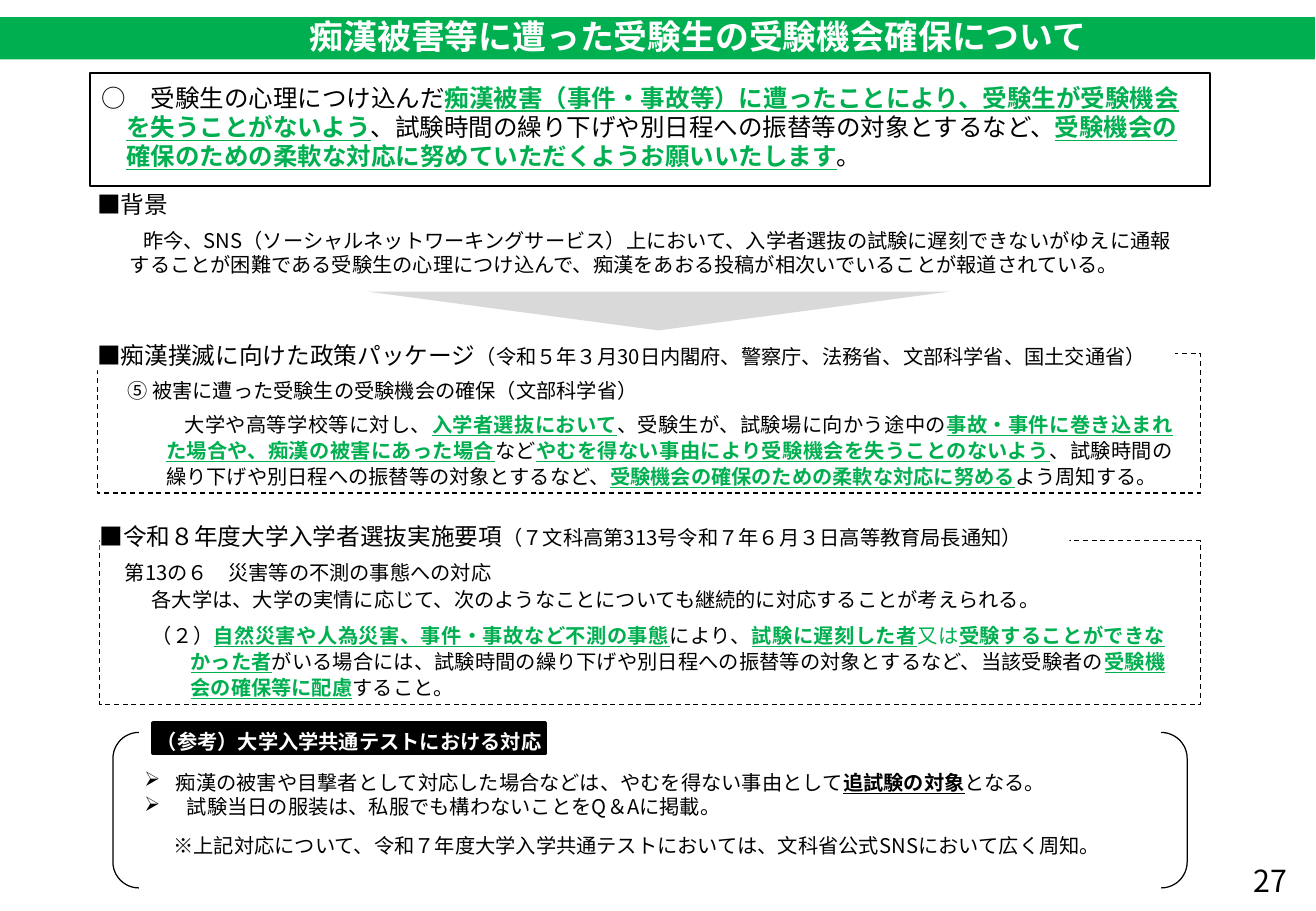
from dataclasses import dataclass
from typing import Optional

from lxml import etree
from pptx import Presentation
from pptx.dml.color import RGBColor
from pptx.enum.dml import MSO_LINE
from pptx.enum.shapes import MSO_SHAPE as Preset
from pptx.enum.text import MSO_ANCHOR as Anchor, MSO_AUTO_SIZE as AutoSize, PP_ALIGN as Align
from pptx.oxml.ns import qn
from pptx.util import Inches, Pt

FONT = "Noto Sans CJK JP"
COLORS = {"green": "00B050", "black": "000000", "white": "FFFFFF", "gray": "D9D9D9"}
# Run style: colour, bold, underline
STYLES = {
    "plain": ("black", False, False),
    "key": ("green", True, True),
    "green": ("green", False, False),
    "strong": ("black", True, True),
    "reverse": ("white", True, False),
}
NO_INSET = (0, 0, 0, 0)


@dataclass
class Run:
    text: str
    style: str = "plain"
    size: float = 12


@dataclass
class Para:
    runs: list[Run]
    margin: float = 0
    indent: float = 0
    align: Align = Align.LEFT
    spacing: Optional[float] = None
    after: float = 0
    bullet: str = ""


@dataclass
class Box:
    at: tuple[float, float, float, float]
    paras: list[Para]
    inset: tuple[float, float, float, float] = (0.1, 0.05, 0.1, 0.05)
    anchor: Anchor = Anchor.TOP
    grow: bool = True


@dataclass
class Panel:
    at: tuple[float, float, float, float]
    preset: Preset = Preset.RECTANGLE
    fill: str = ""
    line: str = ""
    width: float = 0.75
    dashed: bool = False
    rotation: float = 0


def rgb(name: str) -> RGBColor:
    return RGBColor.from_string(COLORS[name])


def add_run(paragraph, item: Run) -> None:
    run = paragraph.add_run()
    run.text = item.text
    color, bold, underline = STYLES[item.style]
    font = run.font
    font.size, font.bold, font.underline, font.name = Pt(item.size), bold, underline, FONT
    font.color.rgb = rgb(color)
    # East Asian typeface
    etree.SubElement(run._r.get_or_add_rPr(), qn("a:ea")).set("typeface", FONT)


def fill_text(shape, box: Box) -> None:
    frame = shape.text_frame
    frame.word_wrap = True
    frame.vertical_anchor = box.anchor
    frame.auto_size = AutoSize.SHAPE_TO_FIT_TEXT if box.grow else AutoSize.NONE
    (frame.margin_left, frame.margin_top,
     frame.margin_right, frame.margin_bottom) = map(Inches, box.inset)
    for index, para in enumerate(box.paras):
        paragraph = frame.add_paragraph() if index else frame.paragraphs[0]
        paragraph.alignment = para.align
        if para.spacing:
            paragraph.line_spacing = Pt(para.spacing)
        paragraph.space_after = Pt(para.after)
        properties = paragraph._p.get_or_add_pPr()
        properties.set("marL", str(Inches(para.margin)))
        properties.set("indent", str(Inches(para.indent)))
        if para.bullet:
            etree.SubElement(properties, qn("a:buChar")).set("char", para.bullet)
        for item in para.runs:
            add_run(paragraph, item)


def add_panel(slide, panel: Panel):
    shape = slide.shapes.add_shape(panel.preset, *map(Inches, panel.at))
    shape.shadow.inherit = False
    shape.rotation = panel.rotation
    if panel.fill:
        shape.fill.solid()
        shape.fill.fore_color.rgb = rgb(panel.fill)
    else:
        shape.fill.background()
    if panel.line:
        shape.line.color.rgb = rgb(panel.line)
        shape.line.width = Pt(panel.width)
        if panel.dashed:
            shape.line.dash_style = MSO_LINE.DASH
    else:
        shape.line.fill.background()
    return shape


def add_text(slide, box: Box) -> None:
    fill_text(slide.shapes.add_textbox(*map(Inches, box.at)), box)


def add_heading(slide, at: tuple[float, float, float, float], title: str, note: str) -> None:
    shape = add_panel(slide, Panel(at, fill="white"))
    fill_text(shape, Box(at, [Para([Run(title, size=14), Run(note)])], NO_INSET))


PANELS = [
    Panel((0.82, 4.45, 9.06, 1.35), line="black", dashed=True),
    Panel((0.8, 2.91, 9.08, 1.15), line="black", dashed=True),
    Panel((0, 0.14, 10.82, 0.35), fill="green"),
    Panel((3.02, 2.4, 4.8, 0.32), Preset.ISOSCELES_TRIANGLE, fill="gray", rotation=180),
    Panel((0.93, 6.03, 8.84, 1.28), Preset.DOUBLE_BRACKET, line="black"),
]

SUMMARY = Box((0.74, 0.6, 9.22, 0.93), [
    Para([Run("○　受験生の心理につけ込んだ", size=14.5),
          Run("痴漢被害（事件・事故等）に遭ったことにより、受験生が受験機会", "key", 14.5)], 0.2, -0.2),
    Para([Run("を失うことがないよう", "key", 14.5),
          Run("、試験時間の繰り下げや別日程への振替等の対象とするなど、", size=14.5),
          Run("受験機会の", "key", 14.5)], 0.2),
    Para([Run("確保のための柔軟な対応に努めていただくようお願いいたします", "key", 14.5),
          Run("。", size=14.5)], 0.2),
], (0.1, 0.08, 0.1, 0.05), grow=False)

REFERENCE = Box((1.26, 5.95, 3.23, 0.25), [
    Para([Run("（参考）大学入学共通テストにおける対応", "reverse")], align=Align.CENTER, spacing=18.1),
], NO_INSET)

TEXTS = [
    # Title
    Box((0.44, 0.02, 10.61, 0.52), [
        Para([Run("痴漢被害等に遭った受験生の受験機会確保について", "reverse", 20)], align=Align.CENTER),
    ], (0, 0.04, 0, 0), Anchor.MIDDLE, grow=False),
    # Background
    Box((0.8, 1.56, 1.94, 0.24), [Para([Run("■背景", size=14)])], NO_INSET),
    Box((0.97, 1.83, 8.92, 0.93), [Para([Run(
        "昨今、SNS（ソーシャルネットワーキングサービス）上において、入学者選抜の試験に遅刻できないがゆえに"
        "通報することが困難である受験生の心理につけ込んで、痴漢をあおる投稿が相次いでいることが報道されている。",
    )], indent=0.11)], grow=False),
    # Policy package
    Box((0.95, 3.01, 4.7, 0.34), [
        Para([Run("⑤ 被害に遭った受験生の受験機会の確保（文部科学省）")], spacing=18.1)]),
    Box((1.09, 3.33, 8.66, 0.73), [Para([
        Run("大学や高等学校等に対し、"),
        Run("入学者選抜において", "key"),
        Run("、受験生が、試験場に向かう途中の"),
        Run("事故・事件に巻き込まれた場合や、痴漢の被害にあった場合", "key"),
        Run("など"),
        Run("やむを得ない事由により受験機会を失うことのないよう", "key"),
        Run("、試験時間の繰り下げや別日程への振替等の対象とするなど、"),
        Run("受験機会の確保のための柔軟な対応に努める", "key"),
        Run("よう周知する。"),
    ], 0.18, 0.15, Align.JUSTIFY, 15.4, 6)]),
    # Admission guidelines
    Box((0.93, 4.51, 4.7, 0.34), [
        Para([Run("第13の６　災害等の不測の事態への対応")], spacing=18.1)]),
    Box((0.98, 4.77, 8.71, 1.03), [
        Para([Run("各大学は、大学の実情に応じて、次のようなことについても継続的に対応することが考えられる。")],
             0.17, 0, Align.JUSTIFY, 15.4, 6),
        Para([
            Run("（２）"),
            Run("自然災害や人為災害、事件・事故など不測の事態", "key"),
            Run("により、"),
            Run("試験に遅刻した者", "key"),
            Run("又は", "green"),
            Run("受験することができなかった者", "key"),
            Run("がいる場合には、試験時間の繰り下げや別日程への振替等の対象とするなど、当該受験者の"),
            Run("受験機会の確保等に配慮", "key"),
            Run("すること。"),
        ], 0.49, -0.32, Align.JUSTIFY, 15.4),
    ]),
    # Common test notes
    Box((1.09, 6.29, 8.96, 0.5), [
        Para([Run("痴漢の被害や目撃者として対応した場合などは、やむを得ない事由として"),
              Run("追試験の対象", "strong"), Run("となる。")], 0.26, -0.26, bullet="➢"),
        Para([Run("試験当日の服装は、私服でも構わないことをQ＆Aに掲載。")], 0.35, -0.35, bullet="➢"),
    ]),
    Box((1.26, 6.81, 8.96, 0.3), [Para([Run(
        "※上記対応について、令和７年度大学入学共通テストにおいては、文科省公式SNSにおいて広く周知。")], 0.07)]),
    # Page number
    Box((10.22, 7.05, 0.52, 0.4), [Para([Run("27", size=18)])], grow=False),
]


def main() -> None:
    presentation = Presentation()
    presentation.slide_width, presentation.slide_height = Inches(10.83), Inches(7.5)
    slide = presentation.slides.add_slide(presentation.slide_layouts[6])
    for panel in PANELS:
        add_panel(slide, panel)
    # Framed texts and section headings
    fill_text(add_panel(slide, Panel(SUMMARY.at, line="black", width=1)), SUMMARY)
    fill_text(add_panel(slide, Panel(REFERENCE.at, fill="black", line="black", width=2)), REFERENCE)
    add_heading(slide, (0.8, 2.81, 8.87, 0.24), "■痴漢撲滅に向けた政策パッケージ",
                "（令和５年３月30日内閣府、警察庁、法務省、文部科学省、国土交通省）")
    add_heading(slide, (0.82, 4.3, 7.98, 0.24), "■令和８年度大学入学者選抜実施要項",
                "（７文科高第313号令和７年６月３日高等教育局長通知）")
    for box in TEXTS:
        add_text(slide, box)
    presentation.save("out.pptx")


if __name__ == "__main__":
    main()
